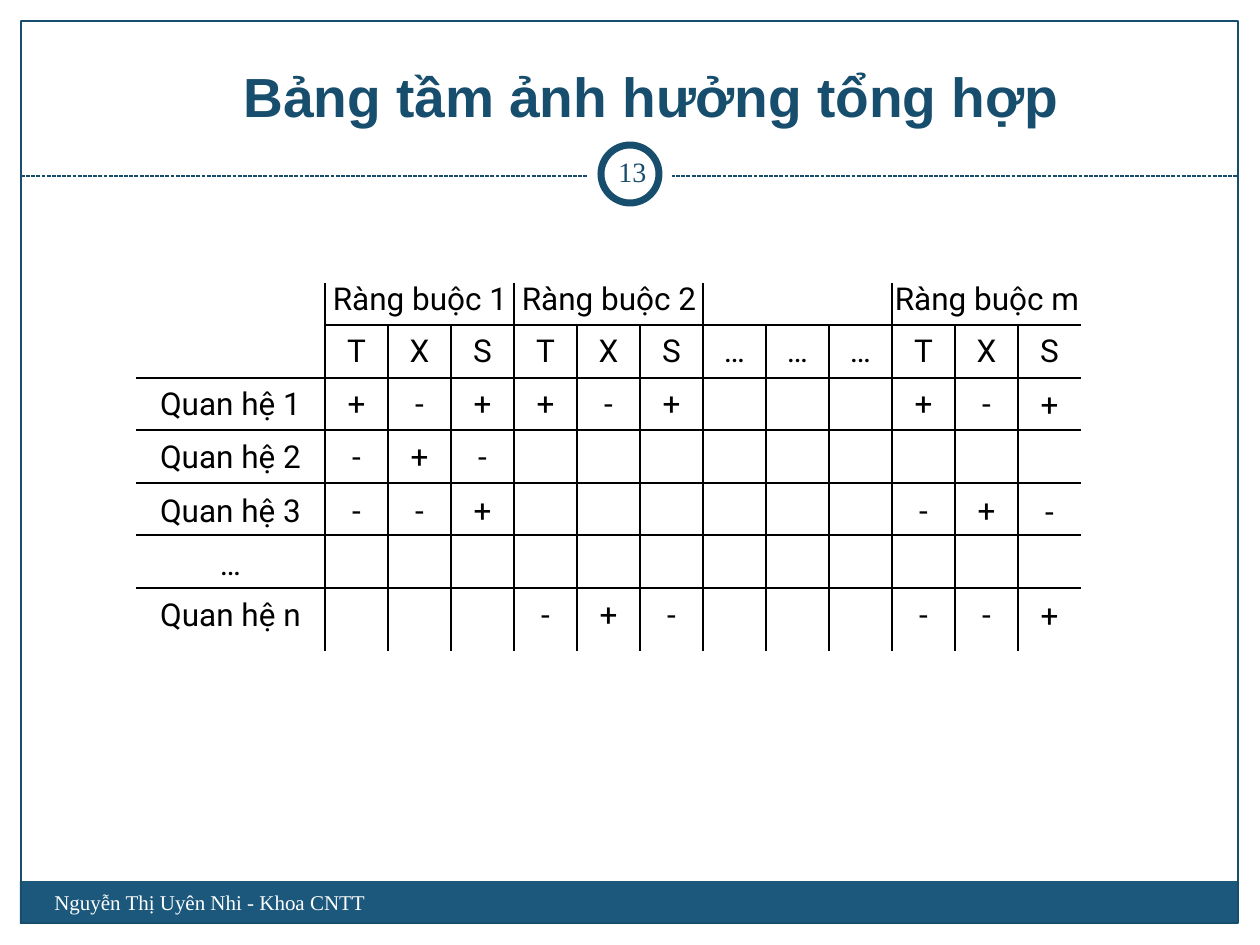
from dataclasses import dataclass

from lxml.etree import SubElement
from pptx import Presentation
from pptx.dml.color import RGBColor
from pptx.enum.dml import MSO_LINE_DASH_STYLE as Dash
from pptx.enum.shapes import MSO_CONNECTOR as Connector, MSO_SHAPE as Preset
from pptx.enum.text import MSO_ANCHOR as Anchor, PP_ALIGN as Align
from pptx.oxml.ns import qn
from pptx.slide import Slide
from pptx.util import Emu, Pt

NAVY, BAR, WHITE, BLACK = "184E6D", "1B587C", "FFFFFF", "000000"
LEFT, GRID_X, RIGHT = 136, 325, 1081
GROUP_TOP, HEADER_Y, BODY_Y, BOTTOM = 283, 325, 378, 651
COLUMN, GROUP, ROW_PAIR, CELL_H = 63, 189, 105, 50


@dataclass(frozen=True)
class Relation:
    name: str
    top: int
    marks: str


@dataclass(frozen=True)
class Constraint:
    name: str
    actions: str


@dataclass(frozen=True)
class Panel:
    preset: Preset
    box: tuple[int, int, int, int]
    fill: str | None = None
    outline: str | None = None
    weight: float = 0.75


RELATIONS = [
    Relation("Quan hệ 1", 378, "+-++-+   +-+"),
    Relation("Quan hệ 2", 431, "-+-"),
    Relation("Quan hệ 3", 485, "--+      -+-"),
    Relation("…", 538, ""),
    Relation("Quan hệ n", 589, "   -+-   --+"),
]
CONSTRAINTS = [
    Constraint("Ràng buộc 1", "TXS"),
    Constraint("Ràng buộc 2", "TXS"),
    Constraint("", "………"),
    Constraint("Ràng buộc m", "TXS"),
]
FRAME = [
    Panel(Preset.RECTANGLE, (20, 881, 1218, 43), fill=BAR),
    Panel(Preset.RECTANGLE, (21, 21, 1217, 902), outline=NAVY),
]
BADGE = [
    Panel(Preset.OVAL, (588, 132, 84, 84), fill=WHITE),
    Panel(Preset.OVAL, (601, 145, 58, 58), fill=WHITE, outline=NAVY, weight=4),
]


def px(length: int) -> Emu:
    """Turn pixels into EMU."""
    return Emu(round(length * 914400 / 126))


def colour(value: str) -> RGBColor:
    """Turn a hex string into a colour."""
    return RGBColor.from_string(value)


def add_panel(slide: Slide, panel: Panel) -> None:
    """Draw a preset shape with an optional fill and outline."""
    shape = slide.shapes.add_shape(panel.preset, *map(px, panel.box))
    shape.shadow.inherit = False
    if panel.fill:
        shape.fill.solid()
        shape.fill.fore_color.rgb = colour(panel.fill)
    else:
        shape.fill.background()
    if panel.outline:
        shape.line.color.rgb = colour(panel.outline)
        shape.line.width = Pt(panel.weight)
    else:
        shape.line.fill.background()


def add_rule(slide: Slide, x1: int, y1: int, x2: int, y2: int, *,
             hue: str = BLACK, weight: float = 1, dash: Dash | None = None) -> None:
    """Draw a straight line without a shadow."""
    rule = slide.shapes.add_connector(Connector.STRAIGHT, *map(px, (x1, y1, x2, y2)))
    rule.line.color.rgb = colour(hue)
    rule.line.width = Pt(weight)
    if dash:
        rule.line.dash_style = dash
    SubElement(rule._element.spPr, qn("a:effectLst"))


def add_text(slide: Slide, text: str, box: tuple[int, int, int, int], *,
             size: float = 18, face: str = "Roboto", hue: str = BLACK,
             bold: bool = False, align: Align = Align.CENTER,
             anchor: Anchor = Anchor.TOP, inset: int | None = None) -> None:
    """Write one paragraph in a text box."""
    frame = slide.shapes.add_textbox(*map(px, box)).text_frame
    frame.word_wrap = True
    frame.vertical_anchor = anchor
    if inset is not None:
        frame.margin_left = frame.margin_right = px(inset)
        frame.margin_top = frame.margin_bottom = px(inset)
    paragraph = frame.paragraphs[0]
    paragraph.alignment = align
    run = paragraph.add_run()
    run.text = text
    run.font.size, run.font.name, run.font.bold = Pt(size), face, bold
    run.font.color.rgb = colour(hue)


def add_grid(slide: Slide) -> None:
    """Draw the lines of the influence table."""
    for row in range(len(RELATIONS)):
        y = BODY_Y + row * ROW_PAIR // 2
        add_rule(slide, LEFT, y, RIGHT, y)
    add_rule(slide, GRID_X, HEADER_Y, RIGHT, HEADER_Y)
    for column in range(3 * len(CONSTRAINTS)):
        x = GRID_X + column * COLUMN
        add_rule(slide, x, HEADER_Y if column % 3 else GROUP_TOP, x, BOTTOM)


def add_entries(slide: Slide) -> None:
    """Write the headings, relation names and marks of the table."""
    for group, constraint in enumerate(CONSTRAINTS):
        x = GRID_X + group * GROUP
        if constraint.name:
            add_text(slide, constraint.name, (x - 10, 273, 210, CELL_H))
        for offset, action in enumerate(constraint.actions):
            add_text(slide, action, (x + offset * COLUMN, HEADER_Y, COLUMN, CELL_H))
    last = 3 * len(CONSTRAINTS) - 1
    for relation in RELATIONS:
        add_text(slide, relation.name, (LEFT, relation.top, GROUP, CELL_H))
        for column, mark in enumerate(relation.marks):
            if mark != " ":
                top = relation.top + (column == last)
                add_text(slide, mark, (GRID_X + column * COLUMN, top, COLUMN, CELL_H))


def main() -> None:
    """Build and save the slide."""
    deck = Presentation()
    deck.slide_width, deck.slide_height = px(1260), px(945)
    slide = deck.slides.add_slide(deck.slide_layouts[6])
    for panel in FRAME:
        add_panel(slide, panel)
    add_rule(slide, 21, 176, 1238, 176, hue=NAVY, weight=0.75, dash=Dash.SQUARE_DOT)
    for panel in BADGE:
        add_panel(slide, panel)
    add_text(slide, "Bảng tầm ảnh hưởng tổng hợp", (63, 49, 1176, 86), size=31.5,
             face="Arial", hue=NAVY, bold=True, anchor=Anchor.BOTTOM)
    add_grid(slide)
    add_entries(slide)
    add_text(slide, "Nguyễn Thị Uyên Nhi - Khoa CNTT", (42, 883, 494, 50), size=12,
             face="Times New Roman", hue=WHITE, align=Align.LEFT)
    add_text(slide, "13", (601, 141, 63, 60), size=16, face="Times New Roman",
             hue=NAVY, anchor=Anchor.MIDDLE, inset=6)
    deck.save("out.pptx")


if __name__ == "__main__":
    main()
